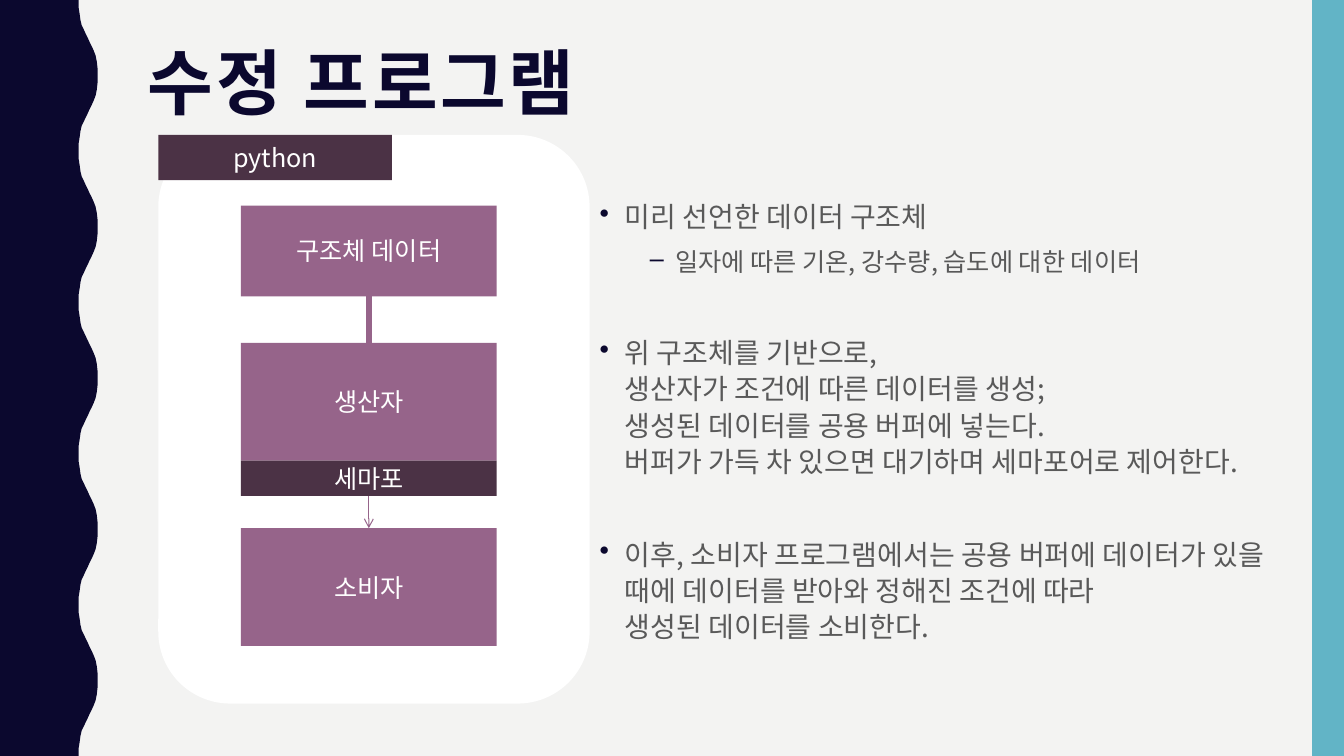
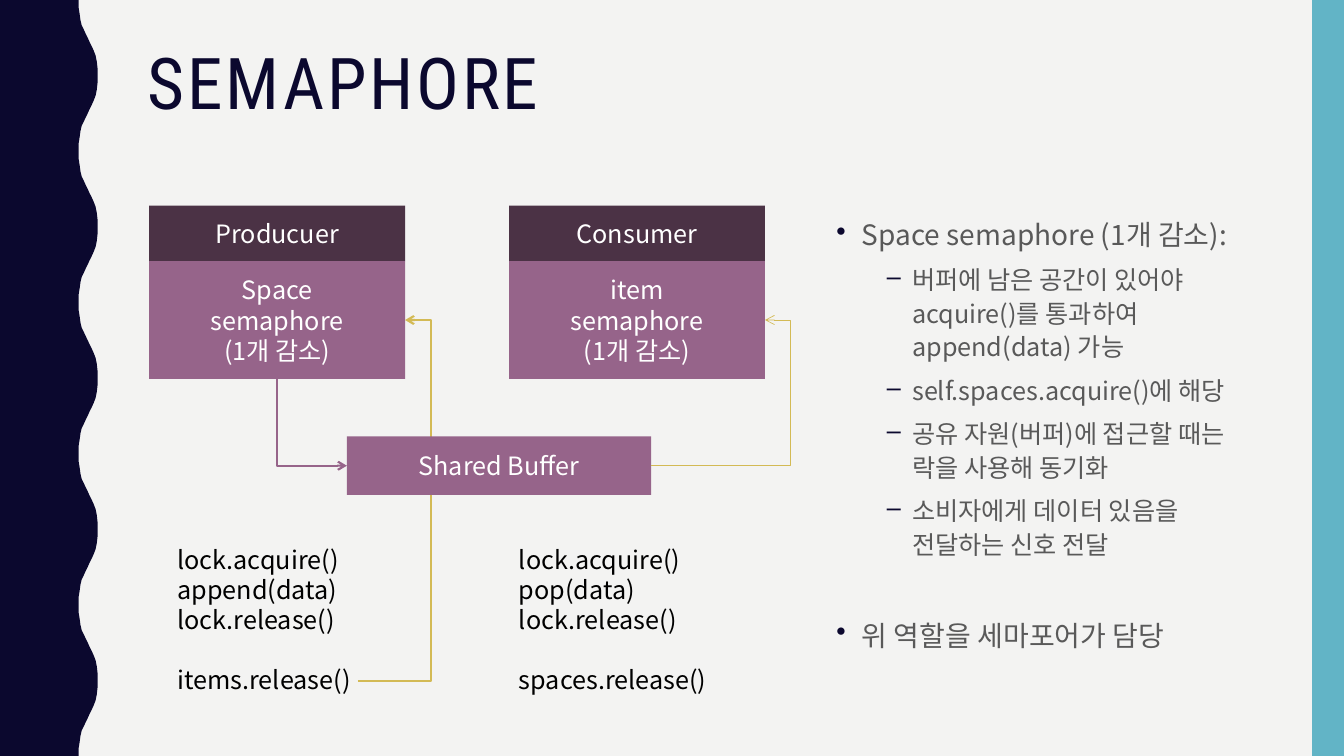
from lxml.etree import SubElement
from pptx import Presentation
from pptx.dml.color import RGBColor
from pptx.enum.shapes import MSO_CONNECTOR as Route, MSO_SHAPE as Preset
from pptx.enum.text import MSO_ANCHOR as Anchor, PP_ALIGN as Align
from pptx.oxml.ns import qn
from pptx.util import Cm, Pt

NAVY = RGBColor(0x0B, 0x08, 0x2E)
TEAL = RGBColor(0x62, 0xB4, 0xC6)
PALE = RGBColor(0xF3, 0xF3, 0xF2)
WHITE = RGBColor(0xFF, 0xFF, 0xFF)
BLACK = RGBColor(0x00, 0x00, 0x00)
GREY = RGBColor(0x59, 0x59, 0x59)
MAUVE = RGBColor(0x96, 0x64, 0x8A)
PLUM = RGBColor(0x4B, 0x32, 0x45)
GOLD = RGBColor(0xD3, 0xBA, 0x55)

TITLE_FONT = "Roboto Condensed"
BODY_FONT = "Noto Sans CJK KR"
WIDTH, HEIGHT = 33.87, 19.05
HALF_WAVE = [(0, 1.98), (0.18, 1.98), (0.36, 2.01), (0.51, 2.03), (0.64, 2.06),
             (0.74, 2.11), (0.85, 2.16), (0.95, 2.21), (1.06, 2.26), (1.16, 2.31),
             (1.27, 2.36), (1.4, 2.41), (1.55, 2.44), (1.73, 2.46), (1.9, 2.46)]
HALF_COUNT = 10
LEFT, BOTTOM, RIGHT = 1, 2, 3
BLOCK_WIDTH, BLOCK_HEIGHT, FIRST_TOP = 6.45, 2.97, 5.18
GAP = 40


class Deck:
    """Hold the shared style and the current page, and draw each kind of element."""

    def __init__(self):
        self.deck = Presentation()
        self.deck.slide_width, self.deck.slide_height = Cm(WIDTH), Cm(HEIGHT)
        fill = self.deck.slide_master.background.fill
        fill.solid()
        fill.fore_color.rgb = PALE
        self.page = None

    def new_page(self, title, bold=False):
        self.page = self.deck.slides.add_slide(self.deck.slide_layouts[6])
        self.wave()
        self.box("", WIDTH - 0.8, 0, 0.8, HEIGHT, TEAL)
        para = self.text_frame([title], 3.48, 1.07, 28.27, 2.29).paragraphs[0]
        para.line_spacing = 0.9
        self.style(para, 51, NAVY, TITLE_FONT)
        for span in para.runs:
            span.font.bold = bold
            span.font._element.set("spc", "200")

    def wave(self):
        half = HEIGHT / HALF_COUNT
        points = []
        for index in range(HALF_COUNT):
            if index % 2:
                points += [((index + 1) * half - y, x) for y, x in reversed(HALF_WAVE)]
            else:
                points += [(index * half + y, x) for y, x in HALF_WAVE]
        builder = self.page.shapes.build_freeform(0, 0)
        edge = [(Cm(x), Cm(y)) for y, x in points]
        builder.add_line_segments(edge + [(0, Cm(HEIGHT))], close=True)
        self.paint(builder.convert_to_shape(), NAVY)

    def paint(self, shape, colour):
        shape.shadow.inherit = False
        shape.fill.solid()
        shape.fill.fore_color.rgb = colour
        shape.line.fill.background()

    def style(self, para, size, colour, font=BODY_FONT):
        for span in para.runs:
            span.font.size = Pt(size)
            span.font.name = font
            span.font.color.rgb = colour
            east_asian = SubElement(span.font._element, qn("a:ea"))
            east_asian.set("typeface", BODY_FONT)

    def box(self, text, left, top, width, height, colour, preset=Preset.RECTANGLE):
        box = self.page.shapes.add_shape(preset, Cm(left), Cm(top), Cm(width), Cm(height))
        self.paint(box, colour)
        if text:
            frame = box.text_frame
            frame.vertical_anchor = Anchor.MIDDLE
            para = frame.paragraphs[0]
            para.text = text
            para.alignment = Align.CENTER
            para.line_spacing = Pt(21.5)
            self.style(para, 18, WHITE)
        return box

    def text_frame(self, lines, left, top, width, height):
        box = self.page.shapes.add_textbox(Cm(left), Cm(top), Cm(width), Cm(height))
        frame = box.text_frame
        frame.word_wrap = True
        for index, line in enumerate(lines):
            para = frame.add_paragraph() if index else frame.paragraphs[0]
            para.text = line
        return frame

    def code(self, lines, left):
        frame = self.text_frame(lines, left, 13.59, 6.05, 4.11)
        for para in frame.paragraphs:
            para.line_spacing = Pt(21.5)
            self.style(para, 18, BLACK)
        frame.paragraphs[-1].space_before = Pt(21.5)

    def bullets(self, items, left, top, width):
        frame = self.text_frame([text for _, _, text in items], left, top, width, 12)
        for index, (para, (level, before, _)) in enumerate(zip(frame.paragraphs, items)):
            para.level = level
            props = para._p.get_or_add_pPr()
            props.set("marL", str(Cm(1.91 if level else 0.64)))
            props.set("indent", str(Cm(-0.64)))
            colour = SubElement(SubElement(props, qn("a:buClr")), qn("a:srgbClr"))
            colour.set("val", str(NAVY))
            SubElement(props, qn("a:buChar")).set("char", "–" if level else "•")
            para.line_spacing = Pt(24 if level else 26)
            if index:
                para.space_before = Pt(before)
            self.style(para, 18 if level else 20, GREY)

    def link(self, target, side, colour, weight, source=None, source_side=BOTTOM,
             start=(0, 0), preset="line", bend=None, arrow=True):
        route = Route.STRAIGHT if preset == "line" else Route.ELBOW
        x, y = Cm(start[0]), Cm(start[1])
        line = self.page.shapes.add_connector(route, x, y, x, y)
        if source is not None:
            line.begin_connect(source, source_side)
        line.end_connect(target, side)
        line.line.color.rgb = colour
        line.line.width = Pt(weight)
        props = line._element.spPr
        geometry = props.find(qn("a:prstGeom"))
        geometry.set("prst", preset)
        if bend is not None:
            guide = SubElement(geometry.find(qn("a:avLst")), qn("a:gd"))
            guide.set("name", "adj1")
            guide.set("fmla", f"val {round(bend * 100000)}")
        if arrow:
            SubElement(props.find(qn("a:ln")), qn("a:tailEnd")).set("type", "arrow")
        SubElement(props, qn("a:effectLst"))

    def elbow_down(self, source, target, colour, weight):
        self.link(target, LEFT, colour, weight, source, preset="bentConnector2")
        line = self.page.shapes[-1]
        across, down = line.width, line.height
        middle_x, middle_y = line.left + across // 2, line.top + down // 2
        line.left, line.top = middle_x - down // 2, middle_y - across // 2
        line.width, line.height = down, across
        frame = line._element.spPr.find(qn("a:xfrm"))
        frame.set("rot", str(270 * 60000))
        frame.set("flipH", "1")


def program_page(deck):
    deck.new_page("수정 프로그램", bold=True)
    card_left, card_top, block_left = 3.99, 3.4, 6.07
    deck.box("", card_left, card_top, 10.87, 14.33, WHITE, Preset.ROUNDED_RECTANGLE)
    deck.bullets([
        (0, 0, "미리 선언한 데이터 구조체"),
        (1, 7, "일자에 따른 기온, 강수량, 습도에 대한 데이터"),
        (0, GAP, "위 구조체를 기반으로,\v생산자가 조건에 따른 데이터를 생성;\v"
                 "생성된 데이터를 공용 버퍼에 넣는다.\v"
                 "버퍼가 가득 차 있으면 대기하며 세마포어로 제어한다."),
        (0, GAP, "이후, 소비자 프로그램에서는 공용 버퍼에 데이터가 있을 때에 "
                 "데이터를 받아와 정해진 조건에 따라\v생성된 데이터를 소비한다."),
    ], 14.86, 4.84, 18.08)
    record, producer, consumer = [
        deck.box(text, block_left, top, BLOCK_WIDTH, height, MAUVE)
        for text, top, height in [("구조체 데이터", FIRST_TOP, 2.29),
                                  ("생산자", 8.64, BLOCK_HEIGHT),
                                  ("소비자", 13.31, BLOCK_HEIGHT)]]
    deck.link(producer, 0, MAUVE, 4, record, arrow=False)
    deck.link(consumer, 0, MAUVE, 0.75, producer)
    deck.box("python", card_left, card_top, 5.89, 1.14, PLUM)
    deck.box("세마포", block_left, 8.64 + BLOCK_HEIGHT, BLOCK_WIDTH, 0.89, PLUM)


def semaphore_page(deck):
    deck.new_page("SEMAPHORE")
    deck.bullets([
        (0, 0, "Space semaphore (1개 감소):"),
        (1, 7, "버퍼에 남은 공간이 있어야 acquire()를 통과하여 append(data) 가능"),
        (1, 7, "self.spaces.acquire()에 해당"),
        (1, 7, "공유 자원(버퍼)에 접근할 때는 락을 사용해 동기화"),
        (1, 7, "소비자에게 데이터 있음을 \v전달하는 신호 전달"),
        (0, GAP, "위 역할을 세마포어가 담당"),
    ], 20.83, 5.29, 10.92)
    header = 1.4
    blocks = []
    for name, kind, action, signal, left, code_left in [
            ("Producuer", "Space", "append(data)", "items.release()", 3.76, 4.22),
            ("Consumer", "item", "pop(data)", "spaces.release()", 12.83, 12.83)]:
        deck.box(name, left, FIRST_TOP, BLOCK_WIDTH, header, PLUM)
        blocks.append(deck.box(f"{kind}\vsemaphore\v(1개 감소)", left, FIRST_TOP + header,
                               BLOCK_WIDTH, BLOCK_HEIGHT, MAUVE))
        deck.code(["lock.acquire()", action, "lock.release()", signal], code_left)
    producer, consumer = blocks
    deck.link(producer, RIGHT, GOLD, 1.5, start=(9.02, 17.17),
              preset="bentConnector3", bend=1.54)
    shared = deck.box("Shared Buffer", 8.74, 11, 7.67, 1.47, MAUVE)
    deck.elbow_down(producer, shared, MAUVE, 1.5)
    deck.link(consumer, RIGHT, GOLD, 0.5, shared, RIGHT,
              preset="bentConnector3", bend=1.22)


def main():
    deck = Deck()
    program_page(deck)
    semaphore_page(deck)
    deck.deck.save("out.pptx")


if __name__ == "__main__":
    main()
